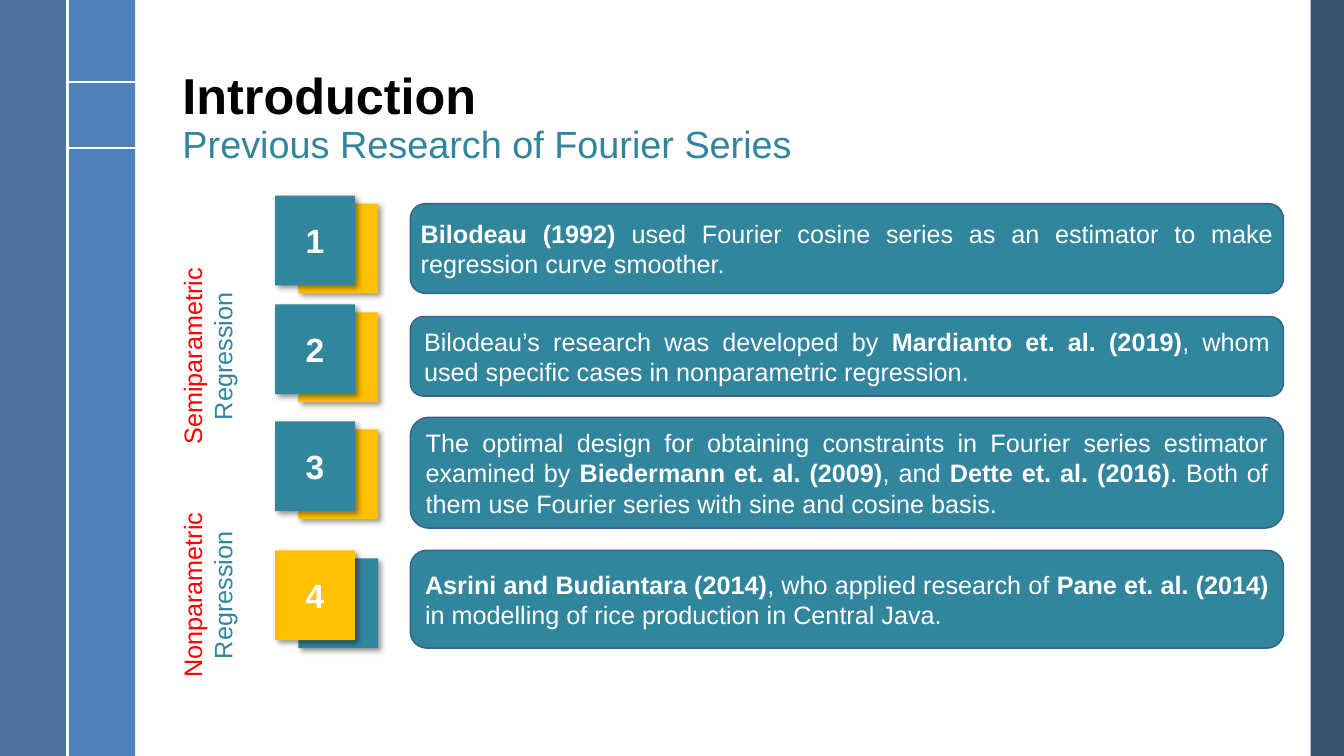
from dataclasses import dataclass

from lxml.etree import SubElement
from pptx import Presentation
from pptx.dml.color import RGBColor as Rgb
from pptx.enum.shapes import MSO_CONNECTOR as Connector, MSO_SHAPE as Preset
from pptx.enum.text import MSO_ANCHOR as Anchor, MSO_AUTO_SIZE as AutoSize, PP_ALIGN as Align
from pptx.oxml.ns import qn
from pptx.util import Inches, Pt


@dataclass(frozen=True)
class Theme:
    font: str = "Arial"
    black: str = "000000"
    white: str = "FFFFFF"
    teal: str = "31859C"
    gold: str = "FFC000"
    red: str = "FF0000"
    outline: str = "3A5F8C"
    right_band: str = "254061"
    inner_band: str = "4F81BD"
    left_band: str = "376092"
    title: int = 36
    subtitle: int = 27
    number: int = 24
    body: int = 18


class SlideBuilder:
    """Draws styled elements on the current slide."""

    def __init__(self, slide, theme):
        self.slide = slide
        self.theme = theme

    def apply(self, target, **values):
        for name, value in values.items():
            setattr(target, name, value)

    def run(self, paragraph, text, size, color, bold=False):
        font_run = paragraph.add_run()
        font_run.text = text
        self.apply(font_run.font, name=self.theme.font, size=Pt(size), bold=bold)
        font_run.font.color.rgb = Rgb.from_string(color)

    def title(self, box, heading, subheading):
        theme = self.theme
        shape = self.slide.shapes.title
        self.apply(shape, **dict(zip(("left", "top", "width", "height"), map(Inches, box))))
        self.apply(shape.text_frame, vertical_anchor=Anchor.BOTTOM, word_wrap=True,
                   auto_size=AutoSize.NONE)
        paragraph = shape.text_frame.paragraphs[0]
        self.apply(paragraph, alignment=Align.LEFT, line_spacing=0.9)
        self.run(paragraph, heading, theme.title, theme.black, True)
        paragraph.add_line_break()
        self.run(paragraph, subheading, theme.subtitle, theme.teal)

    def block(self, preset, box, fill, opacity=100, outline=None):
        shape = self.slide.shapes.add_shape(preset, *map(Inches, box))
        shape.shadow.inherit = False
        shape.fill.solid()
        shape.fill.fore_color.rgb = Rgb.from_string(fill)
        if opacity < 100:
            color = shape._element.spPr.find(qn("a:solidFill")).find(qn("a:srgbClr"))
            SubElement(color, qn("a:alpha"), val=str(opacity * 1000))
        if outline:
            shape.line.color.rgb = Rgb.from_string(outline)
            shape.line.width = Pt(1)
        else:
            shape.line.fill.background()
        return shape

    def rule(self, start, end):
        line = self.slide.shapes.add_connector(Connector.STRAIGHT, *map(Inches, start + end))
        line.line.color.rgb = Rgb.from_string(self.theme.white)
        line.line.width = Pt(1.5)
        SubElement(line._element.spPr, qn("a:effectLst"))

    def tile(self, left, top, fill):
        shape = self.block(Preset.RECTANGLE, (left, top, 0.79, 0.89), fill)
        effects = shape._element.spPr.find(qn("a:effectLst"))
        shadow = SubElement(effects, qn("a:outerShdw"), blurRad=str(Pt(4)), dist=str(Pt(3)),
                            dir="2700000", algn="tl", rotWithShape="0")
        color = SubElement(shadow, qn("a:srgbClr"), val=self.theme.black)
        SubElement(color, qn("a:alpha"), val="40000")
        return shape

    def number(self, top, text, front, back):
        self.tile(2.96, top + 0.08, back)
        frame = self.tile(2.73, top, front).text_frame
        frame.vertical_anchor = Anchor.MIDDLE
        paragraph = frame.paragraphs[0]
        paragraph.alignment = Align.CENTER
        self.run(paragraph, text, self.theme.number, self.theme.white, True)

    def card(self, top, height, inset, parts):
        theme = self.theme
        shape = self.block(Preset.ROUNDED_RECTANGLE, (4.07, top, 8.66, height), theme.teal,
                           outline=theme.outline)
        self.apply(shape.text_frame, word_wrap=True, vertical_anchor=Anchor.MIDDLE,
                   margin_left=Inches(inset), margin_right=Inches(inset))
        paragraph = shape.text_frame.paragraphs[0]
        paragraph.alignment = Align.JUSTIFY
        for text, bold in parts:
            self.run(paragraph, text, theme.body, theme.white, bold)

    def side_label(self, box, kind):
        theme = self.theme
        shape = self.slide.shapes.add_textbox(*map(Inches, box))
        shape.rotation = 270
        shape.text_frame.word_wrap = True
        paragraph = shape.text_frame.paragraphs[0]
        paragraph.alignment = Align.CENTER
        self.run(paragraph, kind + " ", theme.body, theme.red)
        self.run(paragraph, "Regression", theme.body, theme.teal)


def main():
    theme = Theme()
    presentation = Presentation()
    presentation.slide_width = Inches(13.33)
    presentation.slide_height = Inches(7.5)
    slide = presentation.slides.add_slide(presentation.slide_layouts[5])
    builder = SlideBuilder(slide, theme)

    bands = [(13, 0.33, theme.right_band, 90), (0.67, 0.67, theme.inner_band, 100),
             (0, 0.67, theme.left_band, 88)]
    for left, width, color, opacity in bands:
        builder.block(Preset.RECTANGLE, (left, 0, width, 7.5), color, opacity)
    for top in (0.81, 1.47):
        builder.rule((0.67, top), (1.34, top))
    builder.rule((0.67, 0), (0.67, 7.5))

    builder.title((1.71, 0.34, 10.7, 1.36), "Introduction", "Previous Research of Fourier Series")

    studies = [
        (1.94, 2.02, 0.89, 0.06, [
            ("Bilodeau (1992) ", True),
            ("used Fourier cosine series as an estimator to make regression curve smoother.", False)]),
        (3.02, 3.14, 0.79, 0.1, [
            ("Bilodeau’s research was developed by ", False),
            ("Mardianto et. al. (2019)", True),
            (", whom used specific cases in nonparametric regression.", False)]),
        (4.18, 4.14, 1.1, 0.1, [
            ("The optimal design for obtaining constraints in Fourier series estimator examined by ", False),
            ("Biedermann et. al. (2009)", True),
            (", and ", False),
            ("Dette et. al. (2016)", True),
            (". Both of them use Fourier series with sine and cosine basis.", False)]),
        (5.46, 5.46, 0.97, 0.1, [
            ("Asrini and Budiantara (2014)", True),
            (", who applied research of ", False),
            ("Pane et. al. (2014) ", True),
            ("in modelling of rice production in Central Java.", False)]),
    ]
    for index, (tile_top, card_top, height, inset, parts) in enumerate(studies, 1):
        colors = (theme.teal, theme.gold)
        front, back = colors[::-1] if index == len(studies) else colors
        builder.number(tile_top, str(index), front, back)
        builder.card(card_top, height, inset, parts)

    builder.side_label((0.83, 3.18, 2.46, 0.71), "Semiparametric")
    builder.side_label((1.13, 5.55, 1.86, 0.71), "Nonparametric")
    presentation.save("out.pptx")


if __name__ == "__main__":
    main()
